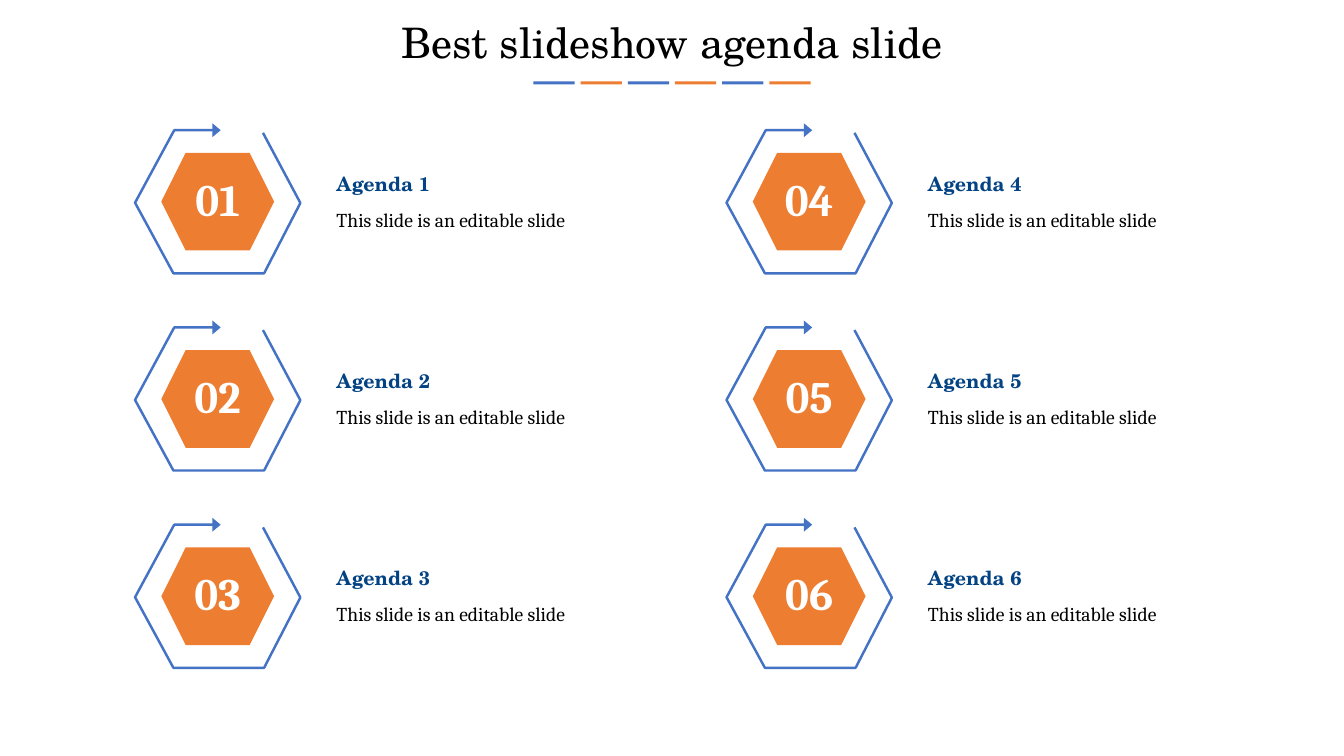
from lxml import etree
from pptx import Presentation
from pptx.dml import color
from pptx.enum import shapes, text
from pptx.oxml import ns
from pptx.util import Pt

HUES = {"blue": "4472C4", "orange": "ED7D31", "navy": "034384",
        "black": "000000", "white": "FFFFFF"}
SERIF, BODY = "TeX Gyre Schola", "Cambria"

# Open hexagon outline, relative to its top left corner
RING = [(91.4, 1.9), (118.1, 52), (92.2, 102.2), (27.4, 102.2),
        (0, 51.8), (28, 0), (61.2, 0)]


class Deck:
    def __init__(self, wide, high):
        self.prs = Presentation()
        self.prs.slide_width, self.prs.slide_height = Pt(wide), Pt(high)
        self.slide = self.prs.slides.add_slide(self.prs.slide_layouts[6])

    def hue(self, name):
        return color.RGBColor.from_string(HUES[name])

    def block(self, kind, x, y, w, h, fill):
        shape = self.slide.shapes.add_shape(kind, Pt(x), Pt(y), Pt(w), Pt(h))
        shape.shadow.inherit = False
        shape.fill.solid()
        shape.fill.fore_color.rgb = self.hue(fill)
        shape.line.fill.background()

    def arrow(self, x, y, points, ink):
        """Draw an open outline that ends in an arrowhead."""
        path = [(Pt(x + dx), Pt(y + dy)) for dx, dy in points]
        pen = self.slide.shapes.build_freeform(*path[0])
        pen.add_line_segments(path[1:], close=False)
        shape = pen.convert_to_shape()
        shape.shadow.inherit = False
        shape.fill.background()
        shape.line.color.rgb = self.hue(ink)
        shape.line.width = Pt(1.75)
        line = shape.line._get_or_add_ln()
        etree.SubElement(line, ns.qn("a:tailEnd"), type="triangle", w="lg", len="med")

    def label(self, x, y, w, h, words, size, face, ink, bold=False, mid=False):
        box = self.slide.shapes.add_textbox(Pt(x), Pt(y), Pt(w), Pt(h))
        frame = box.text_frame
        frame.word_wrap = True
        frame.auto_size = text.MSO_AUTO_SIZE.SHAPE_TO_FIT_TEXT
        para = frame.paragraphs[0]
        para.alignment = text.PP_ALIGN.CENTER if mid else text.PP_ALIGN.LEFT
        run = para.add_run()
        run.text = words
        run.font.size, run.font.name, run.font.bold = Pt(size), face, bold
        run.font.color.rgb = self.hue(ink)

    def item(self, num, x, y):
        """Add one agenda entry: ring, numbered hexagon and two lines of text."""
        self.arrow(x, y, RING, "blue")
        self.block(shapes.MSO_SHAPE.HEXAGON, x + 18.7, y + 16.2, 80.6, 69.8, "orange")
        self.label(x + 136.8, y + 51.8, 208, 24.4,
                   "This slide is an editable slide", 14, BODY, "black")
        self.label(x + 136.8, y + 26.2, 208, 24.4,
                   f"Agenda {num}", 14, SERIF, "navy", bold=True)
        self.label(x + 26.6, y + 25.8, 64.8, 46,
                   f"{num:02}", 32, BODY, "white", bold=True, mid=True)


def main():
    deck = Deck(960, 540)
    deck.label(0, 8.6, 960, 43.9, "Best slideshow agenda slide",
               30, SERIF, "black", mid=True)
    for i in range(6):
        deck.block(shapes.MSO_SHAPE.RECTANGLE, 381 + 33.7 * i, 58.2, 29.5, 2.2,
                   ("blue", "orange")[i % 2])
    for i in range(6):
        col, row = divmod(i, 3)
        deck.item(i + 1, 96.5 + 422.5 * col, 93 + 140.9 * row)
    deck.prs.save("out.pptx")


if __name__ == "__main__":
    main()
